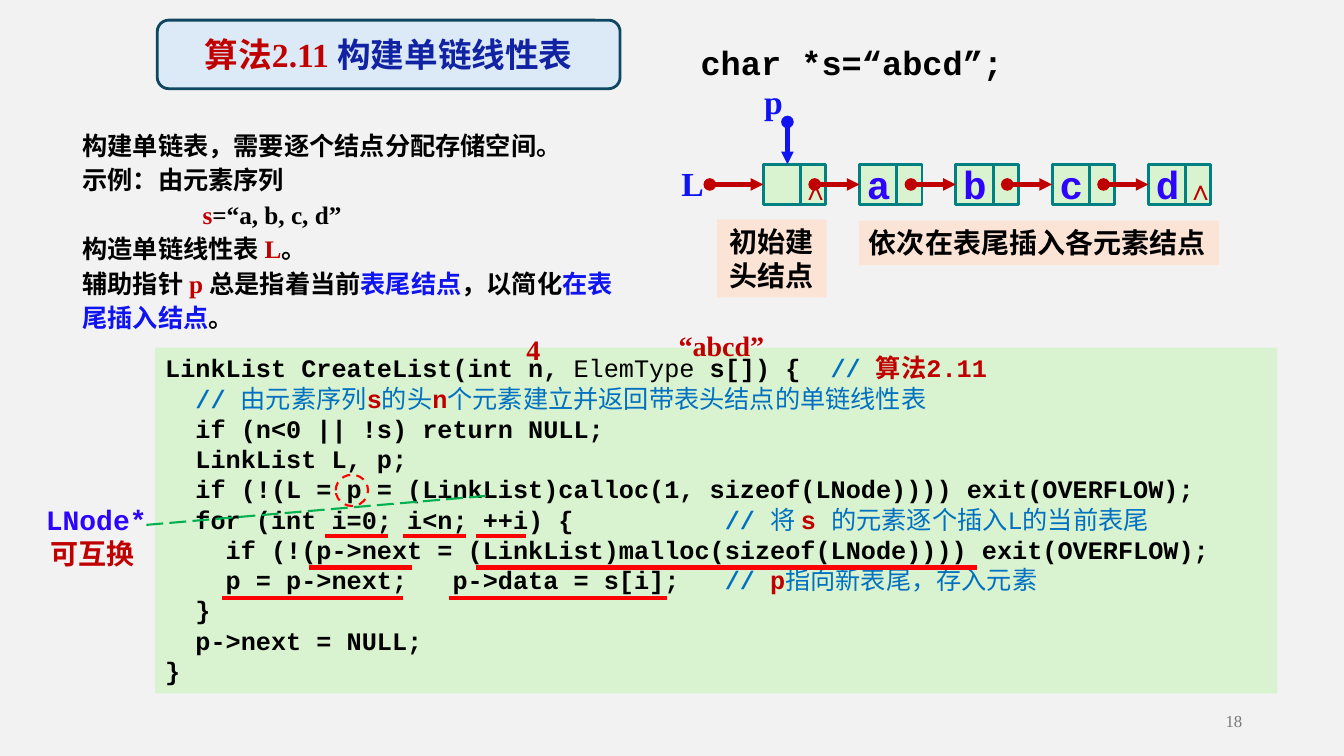
from lxml import etree
from pptx import Presentation
from pptx.dml.color import RGBColor
from pptx.enum import dml, shapes, text
from pptx.oxml import ns
from pptx.util import Inches, Pt

BLACK = RGBColor(0x00, 0x00, 0x00)
RED = RGBColor(0xC0, 0x00, 0x00)
BRIGHT_RED = RGBColor(0xFF, 0x00, 0x00)
BLUE = RGBColor(0x0F, 0x14, 0xF1)
VIOLET = RGBColor(0x2D, 0x04, 0xFC)
NAVY = RGBColor(0x11, 0x22, 0xA3)
COMMENT = RGBColor(0x00, 0x70, 0xC0)
TEAL = RGBColor(0x00, 0x80, 0x80)
DARK_TEAL = RGBColor(0x10, 0x47, 0x60)
GREEN = RGBColor(0x00, 0xB0, 0x50)
PALE_GREEN = RGBColor(0xD9, 0xF2, 0xD0)
PALE_BLUE = RGBColor(0xDC, 0xEA, 0xF7)
PEACH = RGBColor(0xFB, 0xE3, 0xD6)
GRAY = RGBColor(0x79, 0x79, 0x79)
BACKGROUND = RGBColor(0xF2, 0xF2, 0xF2)
SERIF, MONO = "Times New Roman", "Courier New"
CENTER, RIGHT = text.PP_ALIGN.CENTER, text.PP_ALIGN.RIGHT
MIDDLE = text.MSO_ANCHOR.MIDDLE

# Content: a paragraph is a list of spans (text, colour, bold)
TITLE = [[("算法2.11 ", RED), ("构建单链线性表", NAVY)]]
INTRO = [
    [("构建单链表，需要逐个结点分配存储空间。",)],
    [("示例：由元素序列",)],
    [("s", RED), ("=“a, b, c, d”",)],
    [("构造单链线性表 ",), ("L", RED), ("。",)],
    [("辅助指针 ",), ("p ", RED), ("总是指着当前",), ("表尾结点", BLUE),
     ("，以简化",), ("在表尾插入结点", BLUE), ("。",)],
]
CODE = [
    [("LinkList CreateList(int n, ",), ("ElemType", BLACK, False), (" s[]) {\t",),
     ("// ", COMMENT), ("算法2.11", RED)],
    [("  //", COMMENT), (" 由元素序列", COMMENT, False), ("s", RED),
     ("的头", COMMENT, False), ("n", RED),
     ("个元素建立并返回带表头结点的单链线性表", COMMENT, False)],
    [("  if (n<0 || !s) return NULL;",)],
    [("  LinkList L, p;",)],
    [("  if (!(L = p = (LinkList)calloc(1, sizeof(LNode)))) exit(OVERFLOW);",)],
    [("  for (int i=0; i<n; ++i) {\t",), ("// ", COMMENT), ("将 ", COMMENT, False),
     ("s ", RED), ("的元素逐个插入L的当前表尾", COMMENT, False)],
    [("    if (!(p->next = (LinkList)malloc(sizeof(LNode)))) exit(OVERFLOW);",)],
    [("    p = p->next;\tp->data = s[i];\t",), ("// ", COMMENT), ("p", RED),
     ("指向新表尾，存入元素", COMMENT, False)],
    [("  }",)],
    [("  p->next = NULL;",)],
    [("}",)],
]
CODE_TABS = {0: [6.6], 5: [5.55], 7: [2.85, 5.55]}
NODES = ["", "a", "b", "c", "d"]
# Underlines: y -> (left, right) pairs
UNDERLINES = {
    5.32: [(3.22, 3.85), (4, 4.62), (4.72, 5.22)],
    5.63: [(3.06, 4.09), (4.72, 9.69)],
    5.93: [(2.2, 4), (4.45, 6.62)],
}
# Labels without inner margins: text, place, format
NOTES = [
    ("4", (5.17, 3.3, 0.24, 0.34), SERIF, RED),
    ("“abcd”", (6.62, 3.26, 1.07, 0.34), SERIF, RED),
    ("LNode*", (0.42, 4.99, 1.07, 0.34), MONO, VIOLET),
    ("可互换", (0.38, 5.32, 1.07, 0.34), SERIF, RED),
]

deck = Presentation()
deck.slide_width, deck.slide_height = Inches(13.33), Inches(7.5)
page = deck.slides.add_slide(deck.slide_layouts[6])
page.background.fill.solid()
page.background.fill.fore_color.rgb = BACKGROUND


def write(box, content, size=20, font=SERIF, color=BLACK, bold=True, align=None,
          anchor=text.MSO_ANCHOR.TOP, spacing=None, inset=None, tabs=None):
    """Fill a box with a string or with paragraphs made of spans."""
    frame = box.text_frame
    frame.word_wrap = True
    frame.vertical_anchor = anchor
    if inset is not None:
        frame.margin_left = frame.margin_right = Inches(inset)
        frame.margin_top = frame.margin_bottom = Inches(inset)
    paragraphs = [[(content,)]] if isinstance(content, str) else content
    for number, spans in enumerate(paragraphs):
        para = frame.add_paragraph() if number else frame.paragraphs[0]
        para.alignment = align or text.PP_ALIGN.LEFT
        if spacing:
            para.line_spacing = spacing
        stops = (tabs or {}).get(number)
        if stops:
            tab_list = etree.SubElement(para._p.get_or_add_pPr(), ns.qn("a:tabLst"))
            for stop in stops:
                etree.SubElement(tab_list, ns.qn("a:tab"), pos=str(Inches(stop)), algn="l")
        for words, *style in spans:
            span = para.add_run()
            span.text = words
            span.font.name, span.font.size = font, Pt(size)
            span.font.color.rgb = style[0] if style else color
            span.font.bold = style[1] if len(style) > 1 else bold
    return box


def label(content, place, **style):
    return write(page.shapes.add_textbox(*map(Inches, place)), content, **style)


def shape(kind, place, fill=None, line=None, width=2):
    box = page.shapes.add_shape(kind, *map(Inches, place))
    box.shadow.inherit = False
    if fill is None:
        box.fill.background()
    else:
        box.fill.solid()
        box.fill.fore_color.rgb = fill
    if line is None:
        box.line.fill.background()
    else:
        box.line.color.rgb, box.line.width = line, Pt(width)
    return box


def connect(start, end, color, width=3, arrow=False, target=None):
    line = page.shapes.add_connector(
        shapes.MSO_CONNECTOR.STRAIGHT, *map(Inches, (*start, *end)))
    line.line.color.rgb, line.line.width = color, Pt(width)
    if arrow:
        outline = line.line._get_or_add_ln()
        etree.SubElement(outline, ns.qn("a:headEnd"), type="oval")
        etree.SubElement(outline, ns.qn("a:tailEnd"), type="triangle")
    etree.SubElement(line._element.spPr, ns.qn("a:effectLst"))
    if target is not None:
        line.end_connect(target, 1)
    return line


RECT = shapes.MSO_SHAPE.RECTANGLE

# Title, declaration and introduction
write(shape(shapes.MSO_SHAPE.ROUNDED_RECTANGLE, (1.56, 0.2, 4.59, 0.68), PALE_BLUE, DARK_TEAL),
      TITLE, size=24, align=CENTER, anchor=MIDDLE)
label("char *s=“abcd”;", (6.85, 0.37, 3.46, 0.5), size=24, font=MONO)
intro = label(INTRO, (0.72, 1.2, 5.65, 2.15), size=18, spacing=1.14)
example = intro.text_frame.paragraphs[2]._p.get_or_add_pPr()
example.set("marL", str(Inches(1.19)))
example.set("indent", "0")

# Linked list: nodes at an equal pitch, then pointers and letters
NODE_LEFT, NODE_TOP, PITCH, NODE_W, NODE_H = 7.57, 1.63, 0.955, 0.62, 0.4
mid = NODE_TOP + NODE_H / 2
lefts = [NODE_LEFT + PITCH * i for i in range(len(NODES))]
nodes = []
for left in lefts:
    nodes.append(shape(RECT, (left, NODE_TOP, NODE_W, NODE_H), PALE_GREEN, TEAL))
    connect((left + 0.37, NODE_TOP), (left + 0.37, NODE_TOP + NODE_H), TEAL, 2)
starts = [7.04] + [left + 0.51 for left in lefts[:-1]]
for start, left, node in zip(starts, lefts, nodes):
    connect((start, mid), (left, mid), RED, arrow=True, target=node)
for left, letter in zip(lefts, NODES):
    if letter:
        label(letter, (left + 0.07, 1.59, 0.24, 0.47), size=28, font=MONO,
              color=VIOLET, align=CENTER, inset=0)
for left in (lefts[0], lefts[-1]):
    label("∧", (left + 0.38, 1.54, 0.24, 0.45), color=RED, align=CENTER,
          spacing=Pt(36), inset=0)
label("L", (6.66, 1.57, 0.39, 0.5), size=24, color=BLUE)
label("p", (7.58, 0.88, 0.3, 0.33), size=24, color=BLUE, anchor=MIDDLE, spacing=0.8, inset=0)
connect((7.81, 1.21), (7.81, NODE_TOP), BLUE, arrow=True)

# Captions under the list
write(shape(RECT, (7.11, 2.18, 1.09, 0.77), PEACH), "初始建头结点", align=CENTER)
write(shape(RECT, (8.52, 2.19, 3.57, 0.44), PEACH), "依次在表尾插入各元素结点")

# Code and its marks
write(shape(RECT, (1.54, 3.45, 11.13, 3.43), PALE_GREEN), CODE, size=18, font=MONO,
      tabs=CODE_TABS)
for y, pairs in UNDERLINES.items():
    for left, right in pairs:
        connect((left, y), (right, y), BRIGHT_RED)
for words, place, font, color in NOTES:
    label(words, place, font=font, color=color, align=CENTER, inset=0)
link = connect((4.82, 4.92), (1.42, 5.21), GREEN, 1.5)
link.line.dash_style = dml.MSO_LINE.LONG_DASH
ring = shape(shapes.MSO_SHAPE.OVAL, (3.33, 4.71, 0.32, 0.31), line=BRIGHT_RED, width=1.5)
ring.line.dash_style = dml.MSO_LINE.DASH

# Page number
label("18", (9.42, 6.95, 3, 0.4), size=12, color=GRAY, bold=False, align=RIGHT, anchor=MIDDLE)

deck.save("out.pptx")
